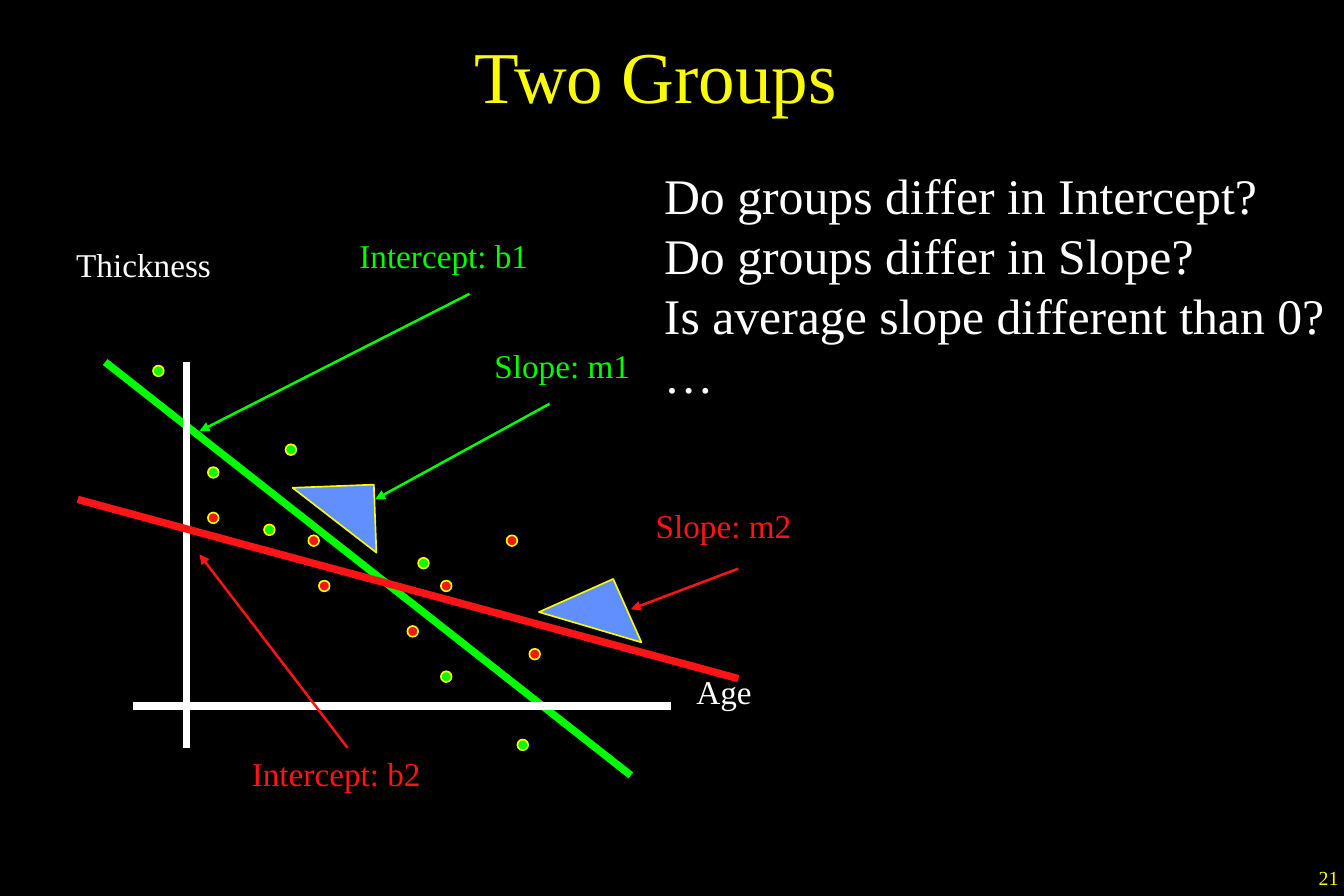
import pptx
import pptx.util
import pptx.dml.color
import pptx.enum.shapes
import pptx.enum.text
import pptx.oxml.ns
import lxml.etree

Pt = pptx.util.Pt
SHAPE = pptx.enum.shapes.MSO_SHAPE
FONT = "Times New Roman"
COLORS = {"background": "000000", "yellow": "FAFD00", "white": "FFFFFF",
          "green": "00FF00", "red": "FD1414", "blue": "618FFD"}

TITLE = "Two Groups"
QUESTIONS = [
    (95.8, 390.2, ["Do groups differ in Intercept?", "Do groups differ in Slope?"]),
    (167.8, 424.8, ["Is average slope different than 0?", "…"]),
]
LABELS = [
    ("Intercept: b1", 209.5, 138.2, 116.5, "green"),
    ("Slope: m1", 290.9, 204.5, 96.5, "green"),
    ("Thickness", 38.9, 144, 96.5, "white"),
    ("Age", 412.6, 401, 48.5, "white"),
    ("Intercept: b2", 144.7, 450.7, 116.5, "red"),
    ("Slope: m2", 388.1, 301, 96.5, "red"),
]
AXES_AND_FITS = [
    ((63.4, 218.2), (380.2, 467.3), "green"),
    ((112.3, 218.2), (112.3, 450.7), "white"),
    ((79.9, 425.5), (404.6, 425.5), "white"),
    ((46.8, 301), (445, 409), "red"),
]
POINTERS = [
    ((120.2, 259.9), (283, 177.1), "green"),
    ((226.1, 301), (331.2, 243.4), "green"),
    ((380.2, 367.2), (445, 342.7), "red"),
    ((120.2, 334.1), (209.5, 450.7), "red"),
]
SLOPE_TRIANGLES = [(177.1, 293, 49, 41, 177.8), (331.2, 357.1, 49, 41.8, 156)]
SUBJECTS = {
    "red": [(125.3, 308.9), (192.2, 349.9), (185.8, 322.6), (265.7, 349.9),
            (245.5, 377.3), (305.3, 322.6), (319, 391)],
    "green": [(92.2, 220.3), (125.3, 281.5), (172.1, 267.8), (159.1, 316.1),
              (252, 336.2), (265.7, 404.6), (311.8, 445.7)],
}
DOT = 6.5


def rgb(color):
    return pptx.dml.color.RGBColor.from_string(COLORS[color])


def style(paragraph, size, color):
    for run in paragraph.runs:
        run.font.name = FONT
        run.font.size = Pt(size)
        run.font.color.rgb = rgb(color)


def add_text(lines, left, top, width, height, size, color, wrap=True):
    box = slide.shapes.add_textbox(Pt(left), Pt(top), Pt(width), Pt(height))
    box.text_frame.word_wrap = wrap
    box.text_frame.auto_size = pptx.enum.text.MSO_AUTO_SIZE.SHAPE_TO_FIT_TEXT
    box.text_frame.text = "\n".join(lines)
    for paragraph in box.text_frame.paragraphs:
        style(paragraph, size, color)


def add_line(start, end, color, width, arrow=False):
    line = slide.shapes.add_connector(
        pptx.enum.shapes.MSO_CONNECTOR.STRAIGHT, *map(Pt, start + end))
    line.line.color.rgb = rgb(color)
    line.line.width = Pt(width)
    qn = pptx.oxml.ns.qn
    properties = line.element.spPr
    if arrow:
        lxml.etree.SubElement(properties.find(qn("a:ln")), qn("a:headEnd"), type="triangle")
    lxml.etree.SubElement(properties, qn("a:effectLst"))


def add_mark(kind, left, top, width, height, color, rotation=0):
    mark = slide.shapes.add_shape(kind, Pt(left), Pt(top), Pt(width), Pt(height))
    mark.rotation = rotation
    mark.shadow.inherit = False
    mark.fill.solid()
    mark.fill.fore_color.rgb = rgb(color)
    mark.line.color.rgb = rgb("yellow")
    mark.line.width = Pt(1)


deck = pptx.Presentation()
deck.slide_width, deck.slide_height = Pt(810), Pt(540)
slide = deck.slides.add_slide(deck.slide_layouts[5])
slide.background.fill.solid()
slide.background.fill.fore_color.rgb = rgb("background")

title = slide.shapes.title
title.left, title.top, title.width, title.height = Pt(51.1), Pt(0), Pt(688.3), Pt(90)
title.text_frame.text = TITLE
title.text_frame.vertical_anchor = pptx.enum.text.MSO_ANCHOR.MIDDLE
title.text_frame.paragraphs[0].alignment = pptx.enum.text.PP_ALIGN.CENTER
style(title.text_frame.paragraphs[0], 44, "yellow")

add_text(["21"], 787.7, 518.4, 45.4, 21.6, 12, "yellow")
for top, width, lines in QUESTIONS:
    add_text(lines, 393.1, top, width, 79.2, 30, "white")
for start, end, color in AXES_AND_FITS:
    add_line(start, end, color, 4.5)
for target, source, color in POINTERS:
    add_line(target, source, color, 1.5, arrow=True)
for left, top, width, height, rotation in SLOPE_TRIANGLES:
    add_mark(SHAPE.RIGHT_TRIANGLE, left, top, width, height, "blue", rotation)
for label, left, top, width, color in LABELS:
    add_text([label], left, top, width, 31.7, 20, color, wrap=False)
for color, corners in SUBJECTS.items():
    for left, top in corners:
        add_mark(SHAPE.OVAL, left, top, DOT, DOT, color)

deck.save("out.pptx")
